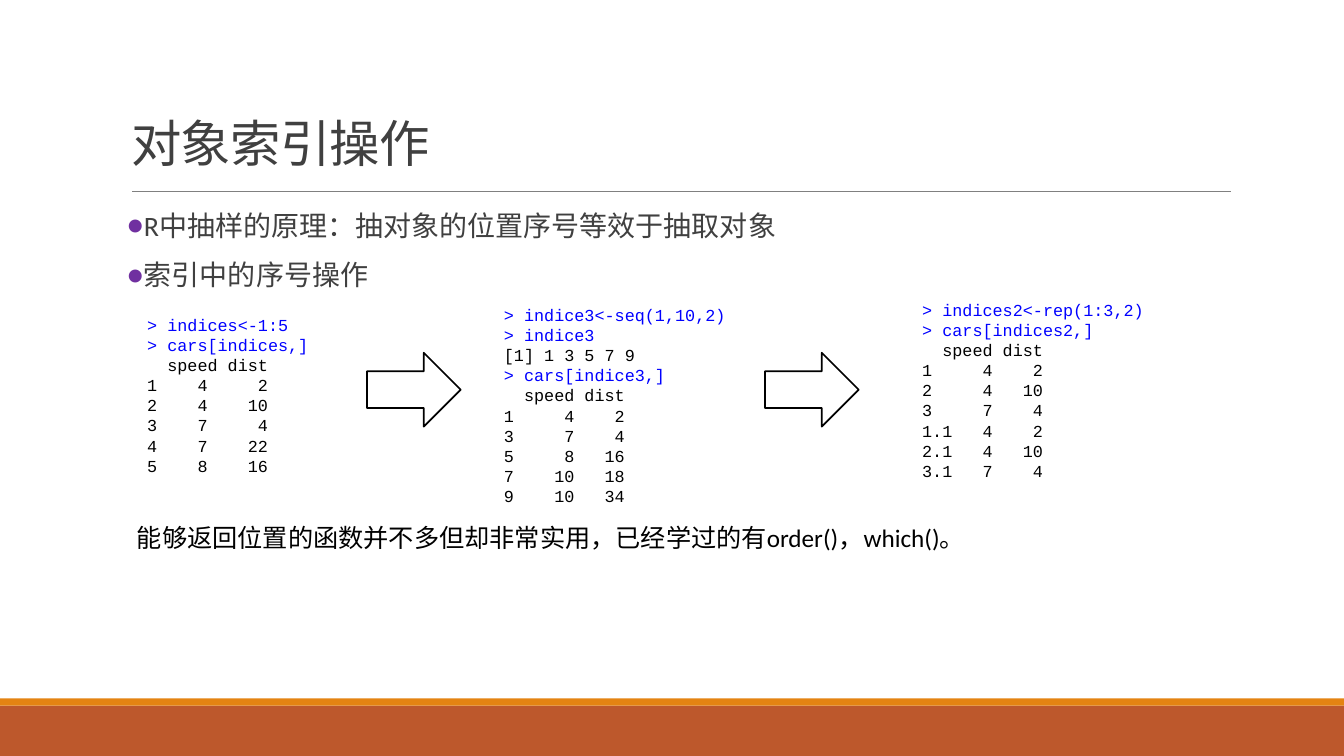
"""Build the slide on sampling objects through their index positions."""
import pptx
import pptx.dml.color
import pptx.enum.shapes
import pptx.enum.text
import pptx.oxml.ns
import pptx.util
from lxml import etree
from pptx.util import Cm, Pt

TITLE = "对象索引操作"
POINTS = ["R中抽样的原理：抽对象的位置序号等效于抽取对象", "索引中的序号操作"]
NOTE = "能够返回位置的函数并不多但却非常实用，已经学过的有order()，which()。"
CONSOLES = [
    ((3.71, 7.9, 4.39, 4.11), [
        "> indices<-1:5",
        "> cars[indices,]",
        "  speed dist",
        "1    4     2",
        "2    4    10",
        "3    7     4",
        "4    7    22",
        "5    8    16",
    ]),
    ((12.7, 7.65, 5.94, 5.13), [
        "> indice3<-seq(1,10,2)",
        "> indice3",
        "[1] 1 3 5 7 9",
        "> cars[indice3,]",
        "  speed dist",
        "1     4    2",
        "3     7    4",
        "5     8   16",
        "7    10   18",
        "9    10   34",
    ]),
    ((23.24, 7.52, 5.94, 4.62), [
        "> indices2<-rep(1:3,2)",
        "> cars[indices2,]",
        "  speed dist",
        "1     4    2",
        "2     4   10",
        "3     7    4",
        "1.1   4    2",
        "2.1   4   10",
        "3.1   7    4",
    ]),
]
BANDS = [((0, 17.78, 33.87, 1.27), "BD582C"), ((0, 17.6, 33.87, 0.18), "E48312")]
ARROW_LEFTS = [9.25, 19.28]
ARROW_TOP, ARROW_WIDTH, ARROW_HEIGHT = 8.89, 2.36, 1.86

SHAPES = pptx.enum.shapes.MSO_SHAPE
ANCHOR = pptx.enum.text.MSO_ANCHOR
FIT = pptx.enum.text.MSO_AUTO_SIZE
LEFT = pptx.enum.text.PP_ALIGN.LEFT


def color(value):
    return pptx.dml.color.RGBColor.from_string(value)


def add_child(parent, tag, **attributes):
    return etree.SubElement(parent, pptx.oxml.ns.qn(tag), attributes)


def place(shape, left, top, width, height):
    shape.left, shape.top = Cm(left), Cm(top)
    shape.width, shape.height = Cm(width), Cm(height)


def style(para, size, font, value):
    para.alignment = LEFT
    for span in para.runs:
        span.font.size = Pt(size)
        span.font.name = font
        span.font.color.rgb = color(value)


def add_block(page, kind, area, fill):
    shape = page.shapes.add_shape(kind, *map(Cm, area))
    shape.shadow.inherit = False
    shape.fill.solid()
    shape.fill.fore_color.rgb = color(fill)
    shape.line.fill.background()
    return shape


def add_frame(page):
    for area, fill in BANDS:
        add_block(page, SHAPES.RECTANGLE, area, fill)
    rule = page.shapes.add_connector(
        pptx.enum.shapes.MSO_CONNECTOR.STRAIGHT, Cm(3.33), Cm(4.83), Cm(31.01), Cm(4.83))
    rule.line.color.rgb = color("808080")
    rule.line.width = Pt(0.5)
    add_child(rule.line._get_or_add_ln().getparent(), "a:effectLst")


def add_title(page):
    title = page.shapes.title
    place(title, 3.05, 0.79, 27.94, 3.68)
    frame = title.text_frame
    frame.text = TITLE
    frame.auto_size = FIT.NONE
    frame.vertical_anchor = ANCHOR.BOTTOM
    para = frame.paragraphs[0]
    para.line_spacing = 0.85
    style(para, 36, "Calibri", "404040")
    para.runs[0].font._element.set("spc", "-50")


def add_points(page):
    body = page.placeholders[1]
    place(body, 3.2, 5.21, 27.94, 11.18)
    frame = body.text_frame
    frame.text = "\n".join(POINTS)
    frame.auto_size = FIT.NONE
    frame.margin_left = frame.margin_right = 0
    for para in frame.paragraphs:
        style(para, 20, "Calibri", "404040")
        para.line_spacing = 0.9
        para.space_before, para.space_after = Pt(12), Pt(2)
        properties = para._p.get_or_add_pPr()
        properties.set("marL", str(Cm(0.25)))
        properties.set("indent", str(-Cm(0.25)))
        add_child(add_child(properties, "a:buClr"), "a:srgbClr", val="7030A0")
        add_child(properties, "a:buFont", typeface="Calibri")
        add_child(properties, "a:buChar", char="●")


def add_console(page, area, lines):
    frame = add_block(page, SHAPES.RECTANGLE, area, "FFFFFF").text_frame
    frame.text = "\n".join(lines)
    frame.word_wrap = False
    frame.auto_size = FIT.SHAPE_TO_FIT_TEXT
    frame.vertical_anchor = ANCHOR.MIDDLE
    frame.margin_left = frame.margin_right = frame.margin_top = frame.margin_bottom = 0
    for para in frame.paragraphs:
        style(para, 12, "Courier New", "0000FF" if para.text.startswith(">") else "000000")


def add_arrow(page, left):
    area = (left, ARROW_TOP, ARROW_WIDTH, ARROW_HEIGHT)
    arrow = add_block(page, SHAPES.RIGHT_ARROW, area, "FFFFFF")
    arrow.line.color.rgb = color("000000")
    arrow.line.width = Pt(1.25)


def add_note(page):
    box = page.shapes.add_textbox(Cm(3.2), Cm(13.03), Cm(21.95), Cm(1.02))
    frame = box.text_frame
    frame.text = NOTE
    frame.word_wrap = True
    frame.auto_size = FIT.SHAPE_TO_FIT_TEXT
    style(frame.paragraphs[0], 18, "Calibri", "000000")


def main():
    deck = pptx.Presentation()
    deck.slide_width, deck.slide_height = Cm(33.87), Cm(19.05)
    page = deck.slides.add_slide(deck.slide_layouts[1])
    add_frame(page)
    add_title(page)
    add_points(page)
    for area, lines in CONSOLES:
        add_console(page, area, lines)
    for left in ARROW_LEFTS:
        add_arrow(page, left)
    add_note(page)
    deck.save("out.pptx")


if __name__ == "__main__":
    main()
